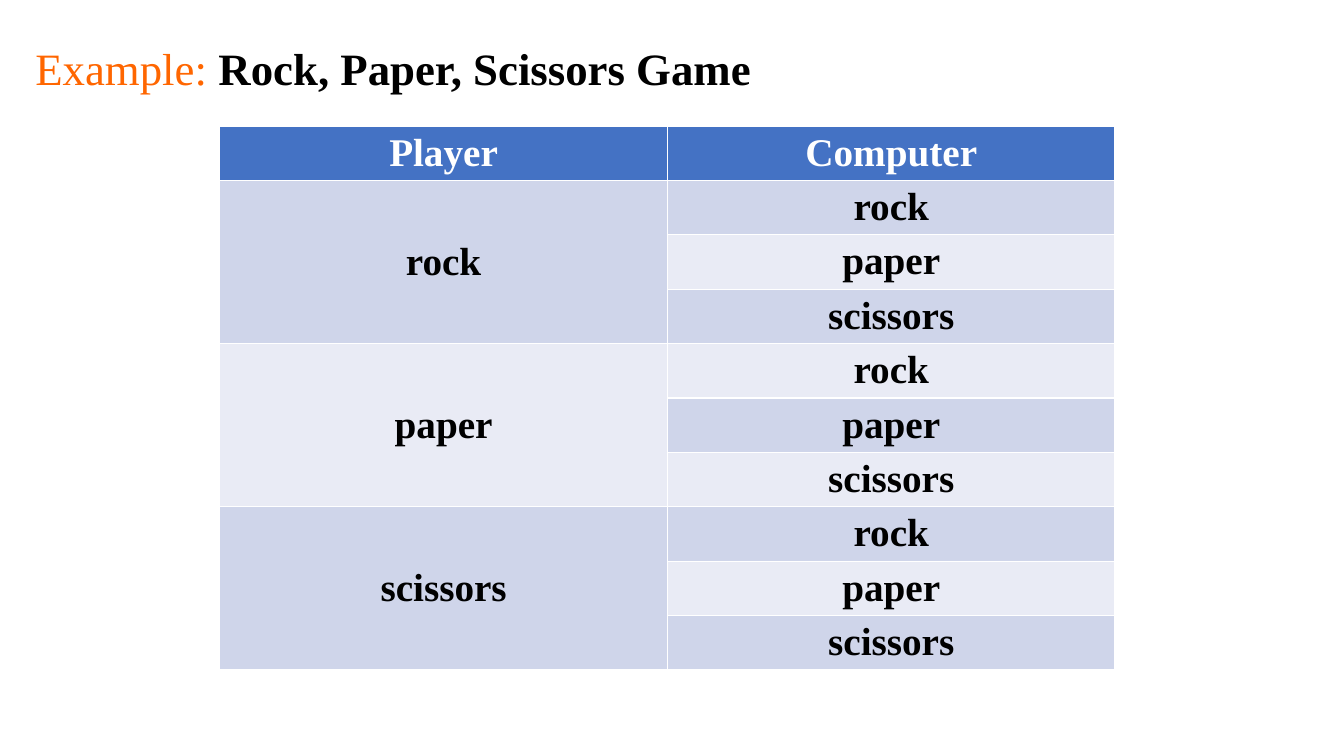
from dataclasses import dataclass

from pptx import Presentation
from pptx.dml.color import RGBColor
from pptx.enum.text import MSO_ANCHOR, MSO_AUTO_SIZE, PP_ALIGN
from pptx.slide import Slide
from pptx.table import Table
from pptx.text.text import _Paragraph
from pptx.util import Inches, Pt


@dataclass(frozen=True)
class Theme:
    font: str = "Times New Roman"
    title_size: int = 32
    table_size: int = 28
    accent: str = "FF6600"
    text: str = "000000"
    header_text: str = "FFFFFF"
    header_fill: str = "4472C4"
    bands: tuple[str, str] = ("CFD5EA", "E9EBF5")


@dataclass(frozen=True)
class CellStyle:
    fill: str
    color: str
    anchor: MSO_ANCHOR = MSO_ANCHOR.TOP


THEME = Theme()
MOVES = ("rock", "paper", "scissors")


def add_span(para: _Paragraph, text: str, *, size: int, color: str, bold: bool = False) -> None:
    span = para.add_run()
    span.text = text
    span.font.name = THEME.font
    span.font.size = Pt(size)
    span.font.bold = bold
    span.font.color.rgb = RGBColor.from_string(color)


def add_title(page: Slide) -> None:
    box = page.shapes.title
    box.left, box.top = Inches(0.25), Inches(0)
    box.width, box.height = Inches(12.73), Inches(1.4)
    frame = box.text_frame
    frame.auto_size = MSO_AUTO_SIZE.NONE
    frame.word_wrap = True
    frame.vertical_anchor = MSO_ANCHOR.MIDDLE
    para = frame.paragraphs[0]
    para.alignment = PP_ALIGN.JUSTIFY
    para.line_spacing = 0.9
    add_span(para, "Example: ", size=THEME.title_size, color=THEME.accent)
    add_span(para, "Rock, Paper, Scissors Game", size=THEME.title_size, color=THEME.text, bold=True)


def fill_cell(table: Table, row: int, column: int, text: str, style: CellStyle) -> None:
    cell = table.cell(row, column)
    cell.fill.solid()
    cell.fill.fore_color.rgb = RGBColor.from_string(style.fill)
    cell.vertical_anchor = style.anchor
    para = cell.text_frame.paragraphs[0]
    para.alignment = PP_ALIGN.CENTER
    add_span(para, text, size=THEME.table_size, color=style.color, bold=True)


def add_moves_table(page: Slide) -> None:
    count = len(MOVES)
    table = page.shapes.add_table(
        1 + count**2, 2, Inches(2.18), Inches(1.25), Inches(8.88), Inches(5.4)
    ).table
    for column, heading in enumerate(("Player", "Computer")):
        fill_cell(table, 0, column, heading, CellStyle(THEME.header_fill, THEME.header_text))
    for group, player in enumerate(MOVES):
        first = 1 + group * count
        table.cell(first, 0).merge(table.cell(first + count - 1, 0))
        player_style = CellStyle(THEME.bands[group % 2], THEME.text, MSO_ANCHOR.MIDDLE)
        fill_cell(table, first, 0, player, player_style)
        for row, computer in enumerate(MOVES, first):
            fill_cell(table, row, 1, computer, CellStyle(THEME.bands[(row - 1) % 2], THEME.text))


def main() -> None:
    deck = Presentation()
    deck.slide_width, deck.slide_height = Inches(13.33), Inches(7.5)
    page = deck.slides.add_slide(deck.slide_layouts.get_by_name("Title Only"))
    add_title(page)
    add_moves_table(page)
    deck.save("out.pptx")


if __name__ == "__main__":
    main()
